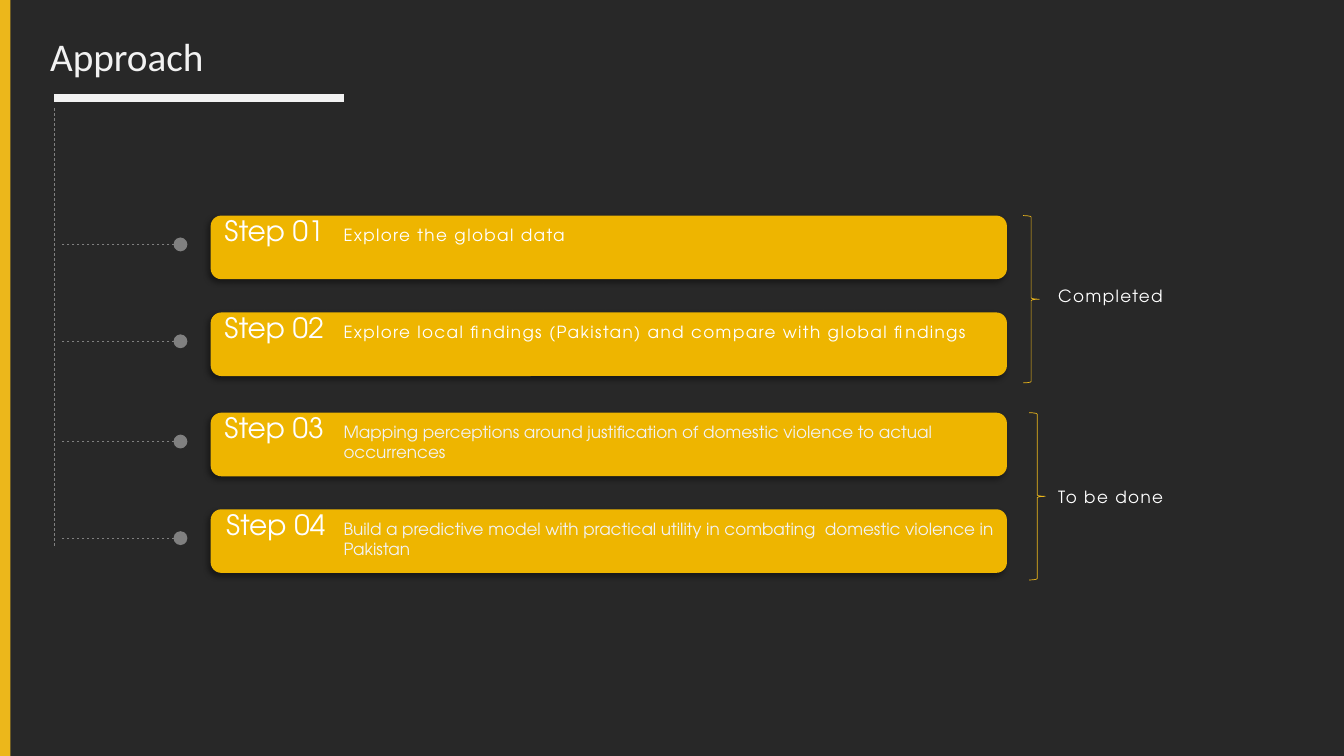
import pptx
import pptx.dml.color
import pptx.enum.dml
import pptx.enum.shapes
import pptx.enum.text
import pptx.oxml
import pptx.oxml.ns
import pptx.util
from lxml import etree

Pt = pptx.util.Pt
RGBColor = pptx.dml.color.RGBColor
MSO_SHAPE = pptx.enum.shapes.MSO_SHAPE
PP_ALIGN = pptx.enum.text.PP_ALIGN
MSO_ANCHOR = pptx.enum.text.MSO_ANCHOR
qn = pptx.oxml.ns.qn

DARK = RGBColor(0x28, 0x28, 0x28)
AMBER = RGBColor(0xEC, 0xB7, 0x1B)
GOLD = RGBColor(0xEE, 0xB5, 0x00)
GREY = RGBColor(0x80, 0x80, 0x80)
PALE = RGBColor(0xF2, 0xF2, 0xF2)
WHITE = RGBColor(0xFF, 0xFF, 0xFF)
BODY_FONT = "TeX Gyre Adventor"

SHADOW = (
    '<a:effectLst xmlns:a="http://schemas.openxmlformats.org/drawingml/2006/main">'
    '<a:outerShdw blurRad="50800" dist="38100" dir="8100000" algn="tr" rotWithShape="0">'
    '<a:srgbClr val="000000"><a:alpha val="40000"/></a:srgbClr>'
    '</a:outerShdw></a:effectLst>'
)

STEPS = [
    (154, "Step 01", 89.3, "Explore the global data", 283, WHITE, 1),
    (223.2, "Step 02", 89.3,
     "Explore local findings (Pakistan) and compare with global findings", 504, WHITE, 1),
    (294.8, "Step 03", 89.3,
     "Mapping perceptions around justification of domestic violence to actual occurrences",
     479, PALE, 0),
    (363.8, "Step 04", 91.5,
     "Build a predictive model with practical utility in combating  domestic violence in Pakistan",
     479, PALE, 0),
]
PHASES = [
    (730.8, 154, "Completed", 200.9),
    (735.1, 294.8, "To be done", 344.2),
]


def add_text(s, text, x, y, w, h, size, color=WHITE, font=BODY_FONT, spacing=0):
    box = s.shapes.add_textbox(Pt(x), Pt(y), Pt(w), Pt(h))
    tf = box.text_frame
    tf.word_wrap = True
    p = tf.paragraphs[0]
    r = p.add_run()
    r.text = text
    p.font.size = Pt(size)
    p.font.name = font
    p.font.color.rgb = color
    if spacing:
        r._r.get_or_add_rPr().set("spc", str(spacing * 100))
    return tf


def add_block(s, kind, x, y, w, h, color):
    sp = s.shapes.add_shape(kind, Pt(x), Pt(y), Pt(w), Pt(h))
    sp.shadow.inherit = False
    sp.fill.solid()
    sp.fill.fore_color.rgb = color
    sp.line.fill.background()
    return sp


def add_line(s, x1, y1, x2, y2, color, width, dashed=False, dot=False):
    line = s.shapes.add_connector(
        pptx.enum.shapes.MSO_CONNECTOR.STRAIGHT, Pt(x1), Pt(y1), Pt(x2), Pt(y2))
    line.line.color.rgb = color
    line.line.width = Pt(width)
    if dashed:
        line.line.dash_style = pptx.enum.dml.MSO_LINE.DASH
    if dot:
        etree.SubElement(line.line._get_or_add_ln(), qn("a:headEnd"), type="oval",
                         w="lg", len="lg")
    etree.SubElement(line._element.spPr, qn("a:effectLst"))


def add_step(s, y, label, label_width, text, text_width, color, spacing):
    bar = add_block(s, MSO_SHAPE.ROUNDED_RECTANGLE, 150.5, y, 568.8, 45.4, GOLD)
    spPr = bar._element.spPr
    spPr.replace(spPr.find(qn("a:effectLst")), pptx.oxml.parse_xml(SHADOW))
    tf = add_text(s, label, 151.2, y - 4.9, label_width, 56, 20)
    tf.margin_left = tf.margin_right = 0
    tf.paragraphs[0].alignment = PP_ALIGN.CENTER
    add_line(s, 128.9, y + 20.6, 42.5, y + 20.6, GREY, 0.5, dashed=True, dot=True)
    add_text(s, text, 238.3, y + 2.9, text_width, 38, 12, color, spacing=spacing)


def add_phase(s, x, y, label, label_y):
    brace = s.shapes.add_shape(MSO_SHAPE.RIGHT_BRACE, Pt(x), Pt(y), Pt(11.5), Pt(119.5))
    brace.shadow.inherit = False
    brace.fill.background()
    brace.line.color.rgb = AMBER
    brace.line.width = Pt(0.5)
    add_text(s, label, 748.8, label_y, 200, 21.8, 12, spacing=1)


def main():
    prs = pptx.Presentation()
    prs.slide_width, prs.slide_height = Pt(960), Pt(540)
    s = prs.slides.add_slide(prs.slide_layouts[6])
    s.background.fill.solid()
    s.background.fill.fore_color.rgb = DARK

    title = add_text(s, "Approach", 28.8, -10.1, 828, 104.4, 28, PALE, "Calibri")
    title.vertical_anchor = MSO_ANCHOR.MIDDLE
    title.paragraphs[0].line_spacing = 0.9
    add_block(s, MSO_SHAPE.RECTANGLE, 0, 0, 7.4, 540, AMBER)
    add_line(s, 38.7, 70, 246, 70, PALE, 6)
    add_line(s, 38.9, 77, 38.9, 391, GREY, 0.5, dashed=True)
    for step in STEPS:
        add_step(s, *step)
    for phase in PHASES:
        add_phase(s, *phase)
    prs.save("out.pptx")


if __name__ == "__main__":
    main()
